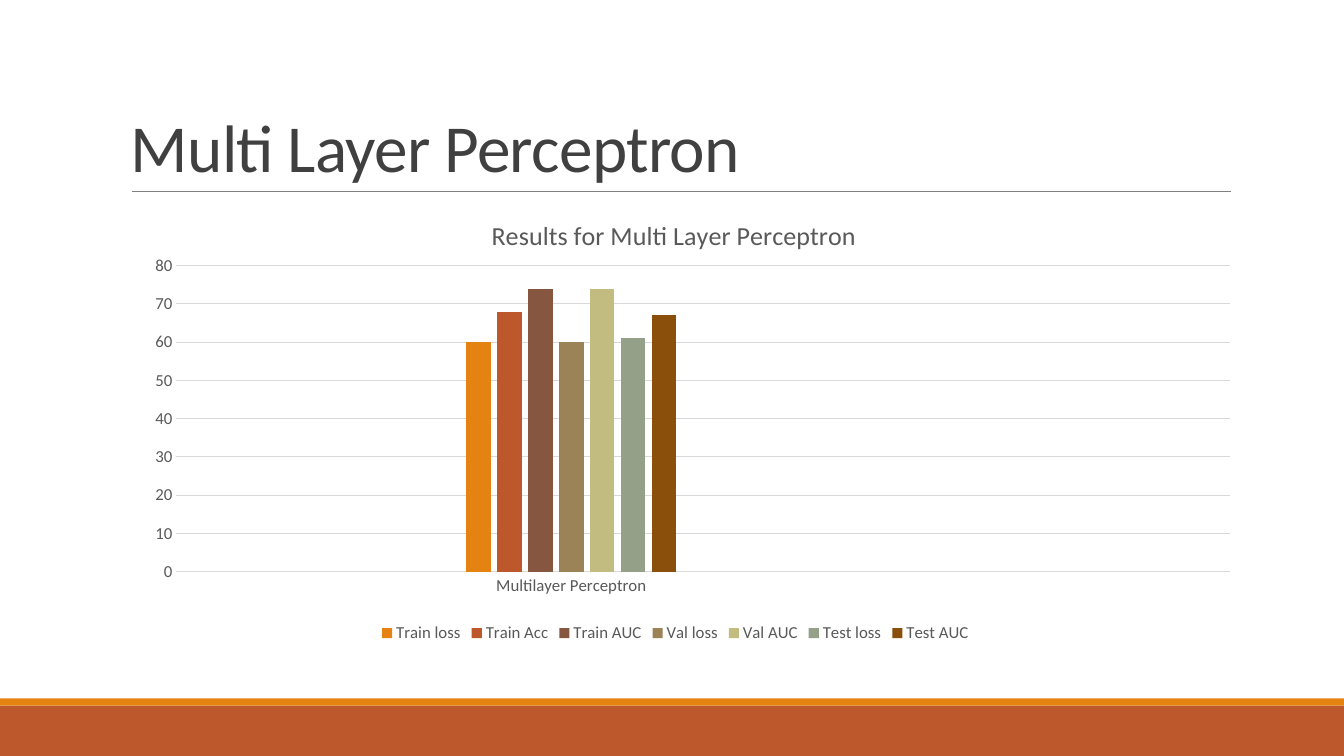
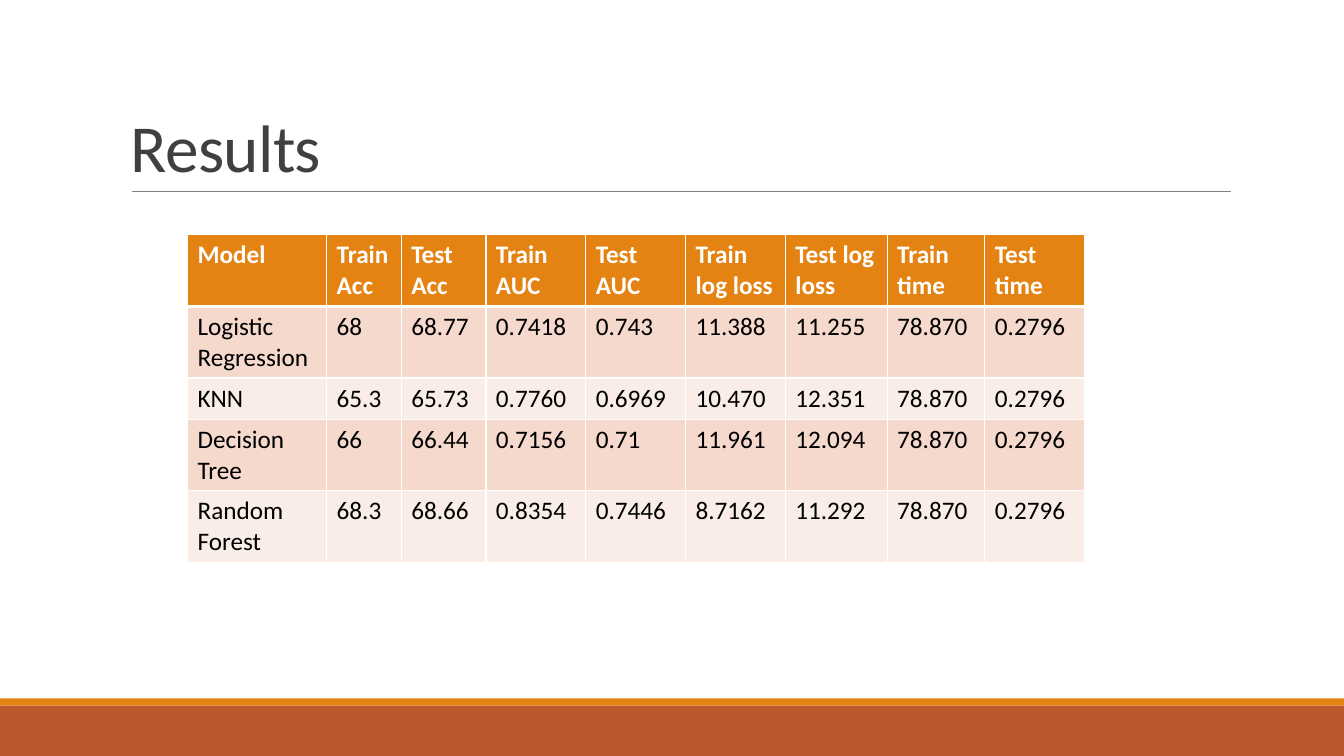
from dataclasses import dataclass
from typing import Optional

from pptx import Presentation
from pptx.chart.data import CategoryChartData
from pptx.dml.color import RGBColor
from pptx.enum.chart import XL_CHART_TYPE as ChartType
from pptx.enum.chart import XL_LEGEND_POSITION as LegendPosition
from pptx.enum.chart import XL_TICK_MARK as TickMark
from pptx.enum.shapes import MSO_CONNECTOR as Connector
from pptx.enum.shapes import MSO_SHAPE as Shape
from pptx.enum.text import MSO_ANCHOR as Anchor
from pptx.oxml.ns import qn
from pptx.oxml.xmlchemy import OxmlElement
from pptx.util import Inches, Pt


@dataclass(frozen=True)
class Theme:
    font: str = "Calibri"
    orange: str = "E48312"
    brick: str = "BD582C"
    title: str = "404040"
    rule: str = "808080"
    chart_text: str = "595959"
    grid: str = "D9D9D9"
    white: str = "FFFFFF"
    black: str = "000000"
    row_fills: tuple[str, str] = ("F5D9CC", "FAEDE7")
    title_size: float = 48
    chart_title_size: float = 18.6
    chart_size: float = 12
    table_size: float = 18


@dataclass(frozen=True)
class Band:
    top: float
    height: float
    color: str


@dataclass(frozen=True)
class Metric:
    name: str
    value: int
    color: str


THEME = Theme()
PAGE_WIDTH, PAGE_HEIGHT = 13.33, 7.5
CONTENT_LEFT, CONTENT_WIDTH = 1.2, 11

BANDS = (Band(7, 0.5, THEME.brick), Band(6.93, 0.07, THEME.orange))

CATEGORIES = ("", "Multilayer Perceptron", "", "")
METRICS = (
    Metric("Train loss", 60, THEME.orange),
    Metric("Train Acc", 68, THEME.brick),
    Metric("Train AUC", 74, "865640"),
    Metric("Val loss", 60, "9B8357"),
    Metric("Val AUC", 74, "C2BC80"),
    Metric("Test loss", 61, "94A088"),
    Metric("Test AUC", 67, "894F0B"),
)

COLUMN_WIDTHS = (1.38, 0.74, 0.84, 0.99, 0.99, 0.99, 1.01, 0.97, 0.99)
ROW_HEIGHTS = (0.71, 0.71, 0.41, 0.71, 0.71)
RESULTS = (
    ("Model", "Train Acc", "Test Acc", "Train AUC", "Test AUC",
     "Train log loss", "Test log loss", "Train time", "Test time"),
    ("Logistic Regression", "68", "68.77", "0.7418", "0.743",
     "11.388", "11.255", "78.870", "0.2796"),
    ("KNN", "65.3", "65.73", "0.7760", "0.6969",
     "10.470", "12.351", "78.870", "0.2796"),
    ("Decision Tree", "66", "66.44", "0.7156", "0.71",
     "11.961", "12.094", "78.870", "0.2796"),
    ("Random Forest", "68.3", "68.66", "0.8354", "0.7446",
     "8.7162", "11.292", "78.870", "0.2796"),
)


# Formatting helpers
def rgb(color: str) -> RGBColor:
    return RGBColor.from_string(color)


def style_font(font, size: float, color: str, bold: bool = False) -> None:
    font.name = THEME.font
    font.size = Pt(size)
    font.bold = bold
    font.color.rgb = rgb(color)


def style_line(line, color: str, width: float) -> None:
    line.color.rgb = rgb(color)
    line.width = Pt(width)


def set_layout(parent, index: int, x: float, y: float,
               size: Optional[tuple[float, float]] = None) -> None:
    """Place a chart part by fractions of the chart's size."""
    old = parent.find(qn("c:layout"))
    if old is not None:
        parent.remove(old)
    layout = OxmlElement("c:layout")
    manual = OxmlElement("c:manualLayout")
    layout.append(manual)
    values = {"xMode": "edge", "yMode": "edge", "x": x, "y": y}
    if size:
        values = {"layoutTarget": "inner", **values, "w": size[0], "h": size[1]}
    for name, value in values.items():
        item = OxmlElement(f"c:{name}")
        item.set("val", str(value))
        manual.append(item)
    parent.insert(index, layout)


def set_borders(cell, top: float, bottom: float) -> None:
    properties = cell._tc.get_or_add_tcPr()
    for side, width in (("L", 1), ("R", 1), ("T", top), ("B", bottom)):
        border = OxmlElement(f"a:ln{side}")
        border.set("w", str(Pt(width)))
        fill = OxmlElement("a:solidFill")
        color = OxmlElement("a:srgbClr")
        color.set("val", THEME.white)
        fill.append(color)
        border.append(fill)
        properties.append(border)


# Shared page frame: bands, rule and title
def add_page(deck, title: str):
    page = deck.slides.add_slide(deck.slide_layouts[6])
    page.background.fill.solid()
    page.background.fill.fore_color.rgb = rgb(THEME.white)
    for band in BANDS:
        box = page.shapes.add_shape(Shape.RECTANGLE, 0, Inches(band.top),
                                    Inches(PAGE_WIDTH), Inches(band.height))
        box.shadow.inherit = False
        box.fill.solid()
        box.fill.fore_color.rgb = rgb(band.color)
        box.line.fill.background()

    rule = page.shapes.add_connector(Connector.STRAIGHT, Inches(1.31), Inches(1.9),
                                     Inches(12.21), Inches(1.9))
    style_line(rule.line, THEME.rule, 0.5)
    rule._element.spPr.append(OxmlElement("a:effectLst"))

    box = page.shapes.add_textbox(Inches(CONTENT_LEFT), Inches(0.31),
                                  Inches(CONTENT_WIDTH), Inches(1.59))
    frame = box.text_frame
    frame.word_wrap = True
    frame.vertical_anchor = Anchor.BOTTOM
    frame.text = title
    para = frame.paragraphs[0]
    para.line_spacing = 0.85
    span = para.runs[0]
    style_font(span.font, THEME.title_size, THEME.title)
    span._r.get_or_add_rPr().set("spc", "-50")
    return page


# Column chart of the metrics
def add_metric_chart(page, title: str) -> None:
    data = CategoryChartData()
    data.categories = CATEGORIES
    for metric in METRICS:
        data.add_series(metric.name, [metric.value if name else None for name in CATEGORIES])
    chart = page.shapes.add_chart(
        ChartType.COLUMN_CLUSTERED, Inches(CONTENT_LEFT), Inches(2.02),
        Inches(CONTENT_WIDTH), Inches(4.4), data).chart
    style_font(chart.font, THEME.chart_size, THEME.chart_text)

    heading = chart.chart_title
    heading.text_frame.text = title
    heading.include_in_layout = False
    style_font(heading.text_frame.paragraphs[0].runs[0].font,
               THEME.chart_title_size, THEME.chart_text)
    set_layout(heading._element, 1, 0.33, 0.02)
    set_layout(chart._chartSpace.chart.plotArea, 0, 0.05, 0.14, (0.95, 0.69))

    plot = chart.plots[0]
    plot.gap_width = 219
    plot.overlap = -27
    plot.vary_by_categories = False
    for series, metric in zip(plot.series, METRICS):
        series.format.fill.solid()
        series.format.fill.fore_color.rgb = rgb(metric.color)

    for axis in (chart.category_axis, chart.value_axis):
        axis.major_tick_mark = axis.minor_tick_mark = TickMark.NONE
        style_font(axis.tick_labels.font, THEME.chart_size, THEME.chart_text)
    style_line(chart.category_axis.format.line, THEME.grid, 0.75)
    values = chart.value_axis
    values.minimum_scale, values.maximum_scale, values.major_unit = 0, 80, 10
    values.format.line.fill.background()
    style_line(values.major_gridlines.format.line, THEME.grid, 0.75)

    chart.has_legend = True
    chart.legend.position = LegendPosition.BOTTOM
    chart.legend.include_in_layout = False
    style_font(chart.legend.font, THEME.chart_size, THEME.chart_text)


# Table of model results
def add_results_table(page) -> None:
    table = page.shapes.add_table(
        len(ROW_HEIGHTS), len(COLUMN_WIDTHS), Inches(1.86), Inches(2.33),
        Inches(sum(COLUMN_WIDTHS)), Inches(sum(ROW_HEIGHTS))).table
    for column, width in zip(table.columns, COLUMN_WIDTHS):
        column.width = Inches(width)
    for row_index, (texts, height) in enumerate(zip(RESULTS, ROW_HEIGHTS)):
        header = row_index == 0
        fill = THEME.orange if header else THEME.row_fills[(row_index - 1) % 2]
        table.rows[row_index].height = Inches(height)
        for cell, text in zip(table.rows[row_index].cells, texts):
            set_borders(cell, top=3 if row_index == 1 else 1, bottom=3 if header else 1)
            cell.fill.solid()
            cell.fill.fore_color.rgb = rgb(fill)
            cell.text_frame.text = text
            style_font(cell.text_frame.paragraphs[0].runs[0].font, THEME.table_size,
                       THEME.white if header else THEME.black, header)


def main() -> None:
    deck = Presentation()
    deck.slide_width = Inches(PAGE_WIDTH)
    deck.slide_height = Inches(PAGE_HEIGHT)
    add_metric_chart(add_page(deck, "Multi Layer Perceptron"),
                     "Results for Multi Layer Perceptron")
    add_results_table(add_page(deck, "Results"))
    deck.save("out.pptx")


if __name__ == "__main__":
    main()
